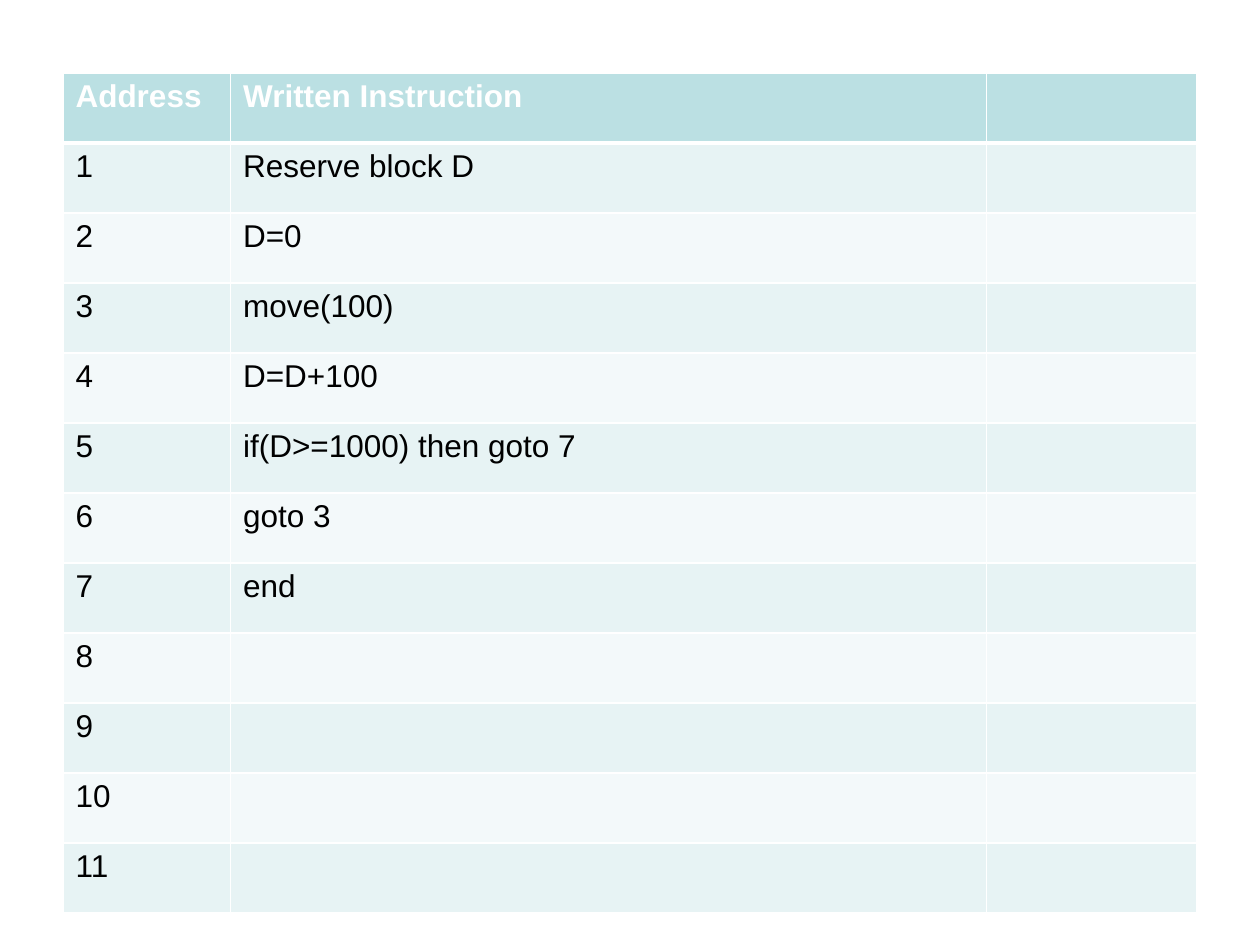
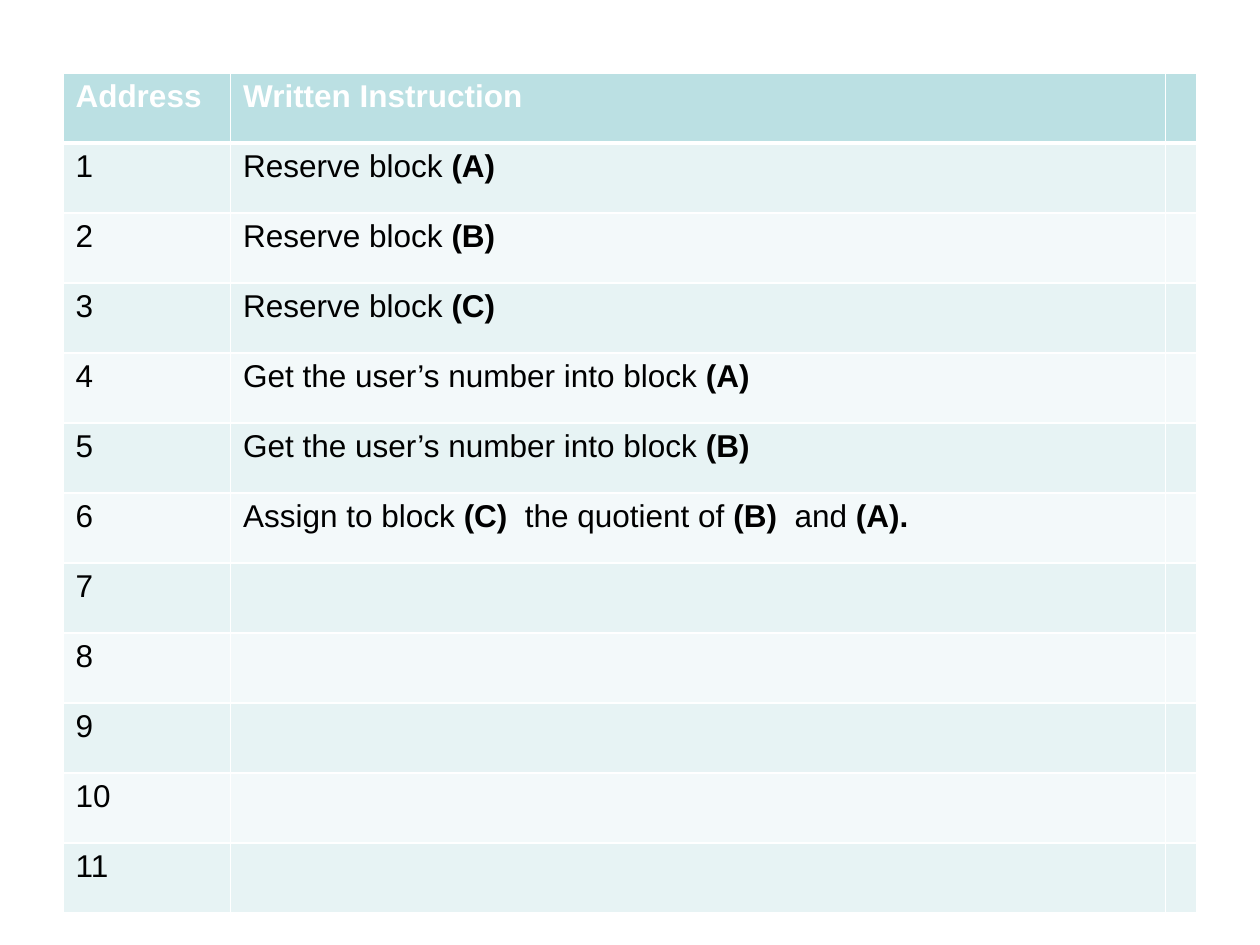
from dataclasses import dataclass

from lxml import etree
from pptx import Presentation
from pptx import util as u
from pptx.dml.color import RGBColor
from pptx.oxml import ns

# Shared look
COLOURS = {
    "header": "BBE0E3",
    "odd": "E7F3F4",
    "even": "F3F9FA",
    "border": "FFFFFF",
    "header_text": "FFFFFF",
    "body_text": "000000",
}
FONT = {"name": "Arial", "size": u.Pt(18)}
HEADINGS = ("Address", "Written Instruction")
LAST_ADDRESS = 11
LEFT, TOP, HEIGHT = 0.5, 0.58, 6.67
THIN, THICK = 1, 3
BOLD_MARK = "*"


@dataclass(frozen=True)
class Program:
    """One instruction listing; bold parts stand between asterisks."""
    column_widths: tuple[float, ...]
    instructions: tuple[str, ...]


PROGRAMS = (
    Program((1.33, 6, 1.67), (
        "Reserve block D",
        "D=0",
        "move(100)",
        "D=D+100",
        "if(D>=1000) then goto 7",
        "goto 3",
        "end",
    )),
    Program((1.33, 7.42, 0.25), (
        "Reserve block *(A)*",
        "Reserve block *(B)*",
        "Reserve block *(C)*",
        "Get the user’s number into block *(A)*",
        "Get the user’s number into block *(B)*",
        "Assign to block *(C) * the quotient of *(B) * and *(A).*",
    )),
)


def write_text(cell, content: str, colour: str, all_bold: bool) -> None:
    paragraph = cell.text_frame.paragraphs[0]
    for index, part in enumerate(content.split(BOLD_MARK)):
        if not part:
            continue
        run = paragraph.add_run()
        run.text = part
        for attribute, value in FONT.items():
            setattr(run.font, attribute, value)
        run.font.bold = all_bold or index % 2 == 1
        run.font.color.rgb = RGBColor.from_string(COLOURS[colour])


def draw_borders(cell, top: int, bottom: int) -> None:
    """Put the four edges ahead of the fill, as the schema asks."""
    properties = cell._tc.get_or_add_tcPr()
    edges = {"lnL": THIN, "lnR": THIN, "lnT": top, "lnB": bottom}
    for position, (edge, points) in enumerate(edges.items()):
        line = etree.Element(ns.qn(f"a:{edge}"), w=str(u.Pt(points)))
        fill = etree.SubElement(line, ns.qn("a:solidFill"))
        etree.SubElement(fill, ns.qn("a:srgbClr"), val=COLOURS["border"])
        properties.insert(position, line)


def draw_program(slide, program: Program) -> None:
    # Address column, instruction column and a spare column
    rows = [HEADINGS]
    for address in range(1, LAST_ADDRESS + 1):
        written = address <= len(program.instructions)
        rows.append((str(address), program.instructions[address - 1] if written else ""))

    widths = program.column_widths
    listing = slide.shapes.add_table(
        len(rows), len(widths), u.Inches(LEFT), u.Inches(TOP),
        u.Inches(sum(widths)), u.Inches(HEIGHT)).table
    for column, width in zip(listing.columns, widths):
        column.width = u.Inches(width)

    for number, (row, contents) in enumerate(zip(listing.rows, rows)):
        row.height = u.Inches(HEIGHT / len(rows))
        is_header = number == 0
        band = "header" if is_header else "odd" if number % 2 else "even"
        for cell in row.cells:
            cell.fill.solid()
            cell.fill.fore_color.rgb = RGBColor.from_string(COLOURS[band])
            draw_borders(cell, top=THICK if number == 1 else THIN,
                         bottom=THICK if is_header else THIN)
        for cell, content in zip(row.cells, contents):
            write_text(cell, content, "header_text" if is_header else "body_text", is_header)


# Build the deck: the slides have no title, so they use the blank layout
deck = Presentation()
deck.slide_width, deck.slide_height = u.Inches(10), u.Inches(7.5)
blank_layout = deck.slide_layouts[6]
for listed_program in PROGRAMS:
    draw_program(deck.slides.add_slide(blank_layout), listed_program)
deck.save("out.pptx")
